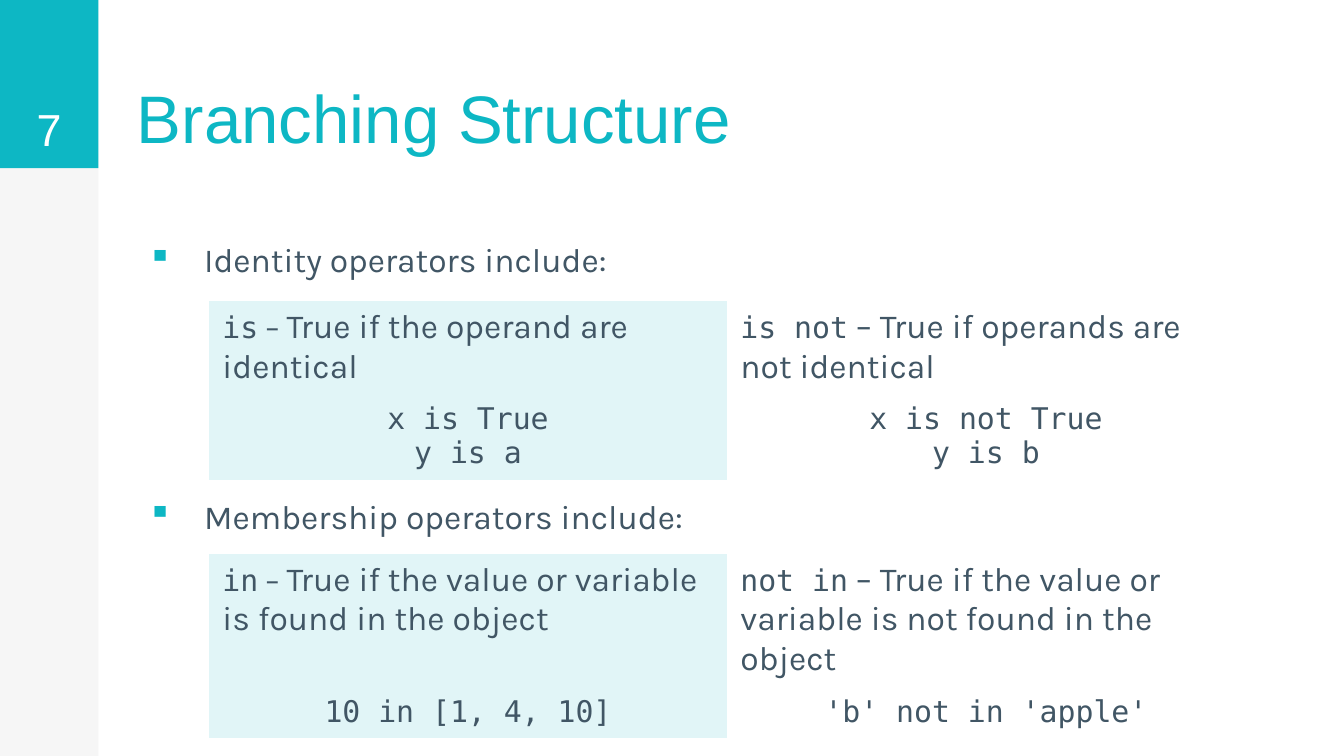
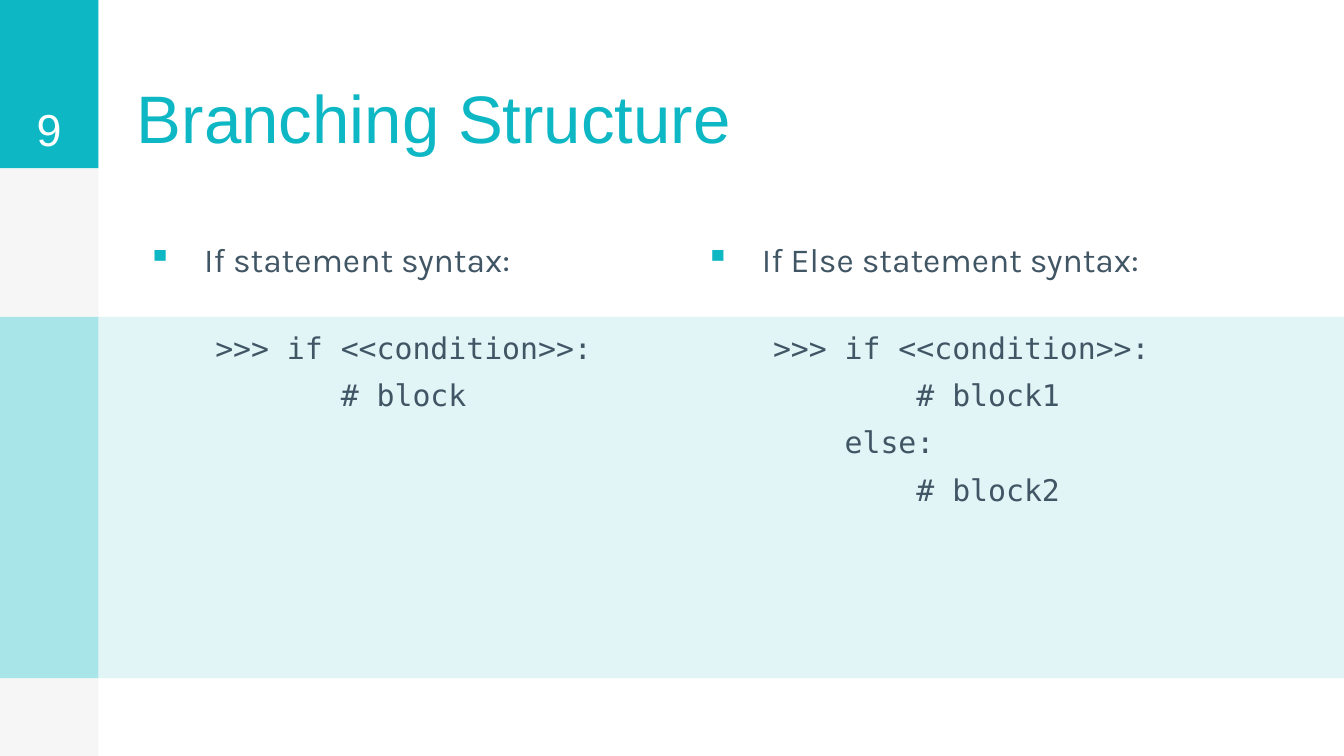
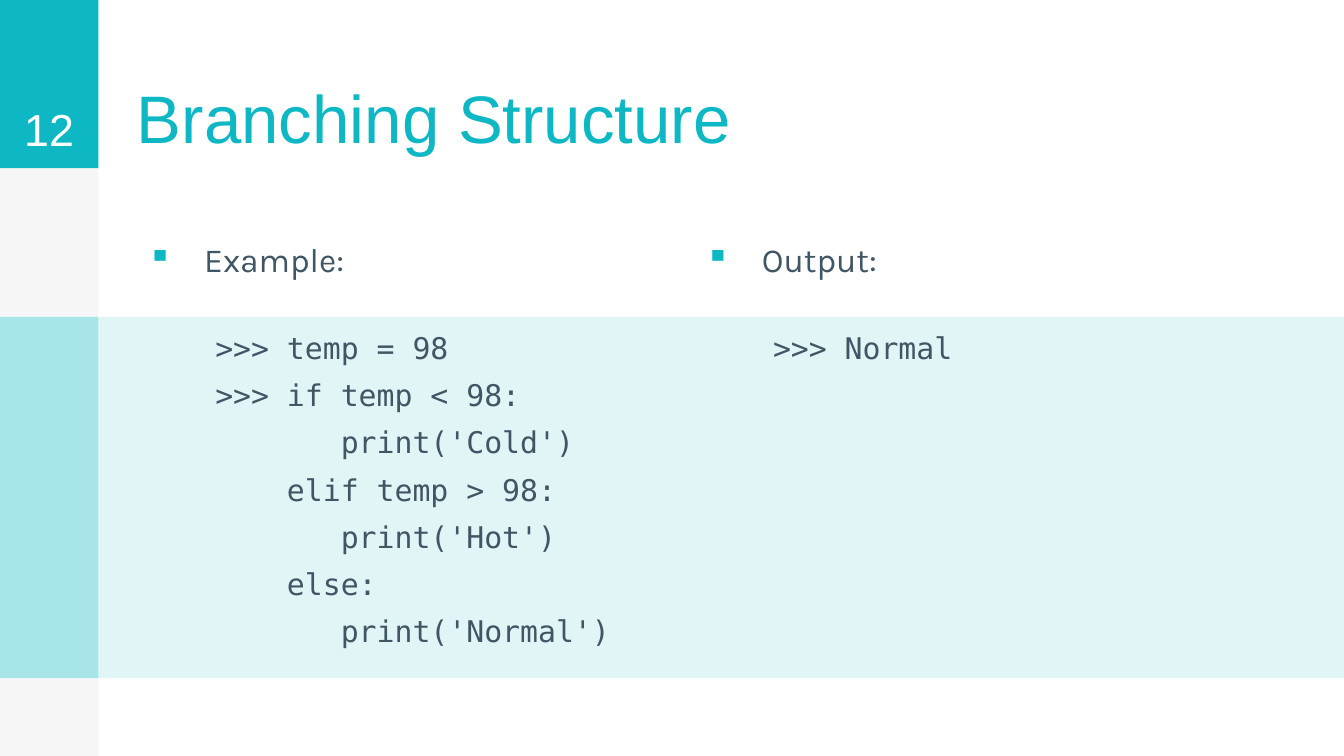
from lxml import etree
from pptx import Presentation
from pptx import util as u
from pptx.dml.color import RGBColor
from pptx.enum import shapes, text as t
from pptx.oxml.ns import qn

TEAL, MID_TEAL, PALE_TEAL = "0DB7C4", "A7E5E9", "E1F5F7"
GREY, INK, WHITE = "F6F6F6", "415665", "FFFFFF"
HEAD_FONT, BODY_FONT, CODE_FONT = "Arial", "Karla", "DejaVu Sans Mono"
NO_STYLE_NO_GRID = "{2D5ABB26-0587-4C30-8999-92F81FD0307C}"

# All lengths are centimetres.
PAGE_W, PAGE_H = 25.4, 14.29
STRIPE_W, HEAD_H = 1.86, 3.18
TEXT_LEFT, TEXT_W = 2.34, 21.18
BODY_TOP, BODY_H = 4.27, 9.42
COLUMN_W, COLUMN_STEP = 10.59, 10.54
BAND_TOP, BAND_H = 5.99, 6.83
TABLE_LEFT, TABLE_W = 3.95, 19.58

SECTION_GAP = 116
CENTER = t.PP_ALIGN.CENTER


def rgb(value):
    return RGBColor.from_string(value)


def cm(box):
    return [u.Cm(length) for length in box]


def add_block(page, box, color):
    block = page.shapes.add_shape(shapes.MSO_SHAPE.RECTANGLE, *cm(box))
    block.shadow.inherit = False
    block.fill.solid()
    block.fill.fore_color.rgb = rgb(color)
    block.line.fill.background()


def add_span(para, text, font=BODY_FONT, size=18, color=INK):
    span = para.add_run()
    span.text = text
    span.font.name = font
    span.font.size = u.Pt(size)
    span.font.color.rgb = rgb(color)


def indent(para, left, first=0, bullet=None):
    props = para._p.get_or_add_pPr()
    props.set("marL", str(u.Cm(left)))
    props.set("indent", str(u.Cm(first)))
    if bullet:
        color = etree.SubElement(props, qn("a:buClr"))
        etree.SubElement(color, qn("a:srgbClr"), val=TEAL)
        etree.SubElement(props, qn("a:buChar"), char=bullet)


def write_lines(frame, lines, gap=0, align=None, left=0, first=0, bullet=None,
                **style):
    """Write one paragraph per line, with gap points between them."""
    for number, line in enumerate(lines):
        para = frame.add_paragraph() if number else frame.paragraphs[0]
        indent(para, left, first, bullet)
        if number:
            para.space_before = u.Pt(gap)
        if align is not None:
            para.alignment = align
        add_span(para, line, **style)


def add_text(page, box, lines, anchor=t.MSO_ANCHOR.TOP, **style):
    frame = page.shapes.add_textbox(*cm(box)).text_frame
    frame.word_wrap = True
    frame.vertical_anchor = anchor
    frame.margin_left = frame.margin_right = u.Cm(0.25)
    frame.margin_top = frame.margin_bottom = u.Cm(0.25)
    write_lines(frame, lines, **style)


def add_bullets(page, box, lines, gap=6):
    add_text(page, box, lines, gap=gap, left=1.27, first=-1.07, bullet="▪")


def add_page(deck, number):
    """Add a page with its side stripe, page number and title."""
    page = deck.slides.add_slide(deck.slide_layouts[6])
    corner = (0, 0, STRIPE_W, HEAD_H)
    add_block(page, (0, 0, STRIPE_W, PAGE_H), GREY)
    add_block(page, corner, TEAL)
    add_text(page, (TEXT_LEFT, 0.03, TEXT_W, HEAD_H), ["Branching Structure"],
             anchor=t.MSO_ANCHOR.BOTTOM, font=HEAD_FONT, size=36, color=TEAL)
    add_text(page, corner, [str(number)], anchor=t.MSO_ANCHOR.BOTTOM,
             align=CENTER, font=HEAD_FONT, size=24, color=WHITE)
    return page


def add_operator_table(page, box, top_row, operators):
    """Each operator is (name, meaning, code lines) and fills one column."""
    table = page.shapes.add_table(2, len(operators), *cm(box)).table
    table._tbl.tblPr.find(qn("a:tableStyleId")).text = NO_STYLE_NO_GRID
    table.first_row = table.horz_banding = False
    table.rows[0].height = u.Cm(top_row)
    table.rows[1].height = u.Cm(box[3] - top_row)
    for column, (name, meaning, code) in enumerate(operators):
        definition, example = table.cell(0, column), table.cell(1, column)
        for cell in (definition, example):
            if column == 0:
                cell.fill.solid()
                cell.fill.fore_color.rgb = rgb(PALE_TEAL)
            else:
                cell.fill.background()
        para = definition.text_frame.paragraphs[0]
        add_span(para, name, font=CODE_FONT, size=16)
        add_span(para, " – ", size=18 if column else 16)
        add_span(para, meaning)
        write_lines(example.text_frame, code, align=CENTER,
                    font=CODE_FONT, size=16)


def add_operators_page(deck, number):
    page = add_page(deck, number)
    add_bullets(page, (TEXT_LEFT, BODY_TOP, TEXT_W, BODY_H),
                ["Identity operators include:",
                 "Membership operators include:"], gap=SECTION_GAP)
    add_operator_table(page, (TABLE_LEFT, 5.69, TABLE_W, 3.32), 1.75, [
        ("is", "True if the operand are identical",
         ["x is True", "y is a"]),
        ("is not", "True if operands are not identical",
         ["x is not True", "y is b"]),
    ])
    add_operator_table(page, (TABLE_LEFT, 10.47, TABLE_W, 3.4), 2.48, [
        ("in", "True if the value or variable is found in the object",
         ["10 in [1, 4, 10]"]),
        ("not in", "True if the value or variable is not found in the object",
         ["'b' not in 'apple'"]),
    ])


def add_code_page(deck, number, columns):
    """Each column is (heading, code lines), with the code on a shared band."""
    page = add_page(deck, number)
    add_block(page, (STRIPE_W, BAND_TOP, PAGE_W - STRIPE_W, BAND_H), PALE_TEAL)
    add_block(page, (0, BAND_TOP, STRIPE_W, BAND_H), MID_TEAL)
    for column, (heading, code) in enumerate(columns):
        left = TEXT_LEFT + column * COLUMN_STEP
        add_bullets(page, (left, BODY_TOP, COLUMN_W, BODY_H), [heading])
        add_text(page, (left, BAND_TOP, COLUMN_W, BAND_H), code, gap=6,
                 left=1.48, font=CODE_FONT, size=16)


def main():
    deck = Presentation()
    deck.slide_width, deck.slide_height = cm((PAGE_W, PAGE_H))
    add_operators_page(deck, 7)
    add_code_page(deck, 9, [
        ("If statement syntax:",
         [">>> if <<condition>>:",
          "       # block"]),
        ("If Else statement syntax:",
         [">>> if <<condition>>:",
          "        # block1",
          "    else:",
          "        # block2"]),
    ])
    add_code_page(deck, 12, [
        ("Example:",
         [">>> temp = 98",
          ">>> if temp < 98:",
          "       print('Cold')",
          "    elif temp > 98:",
          "       print('Hot')",
          "    else:",
          "       print('Normal')"]),
        ("Output:", [">>> Normal"]),
    ])
    deck.save("out.pptx")


if __name__ == "__main__":
    main()
